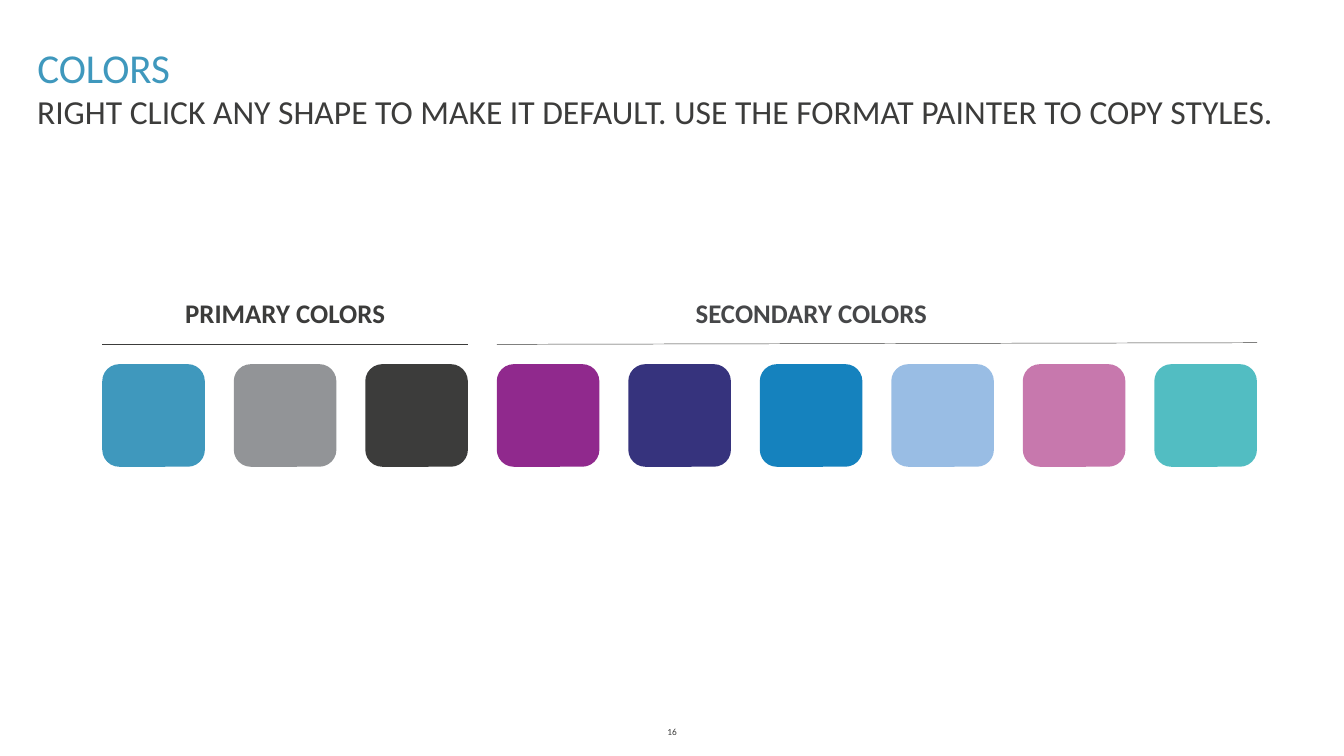
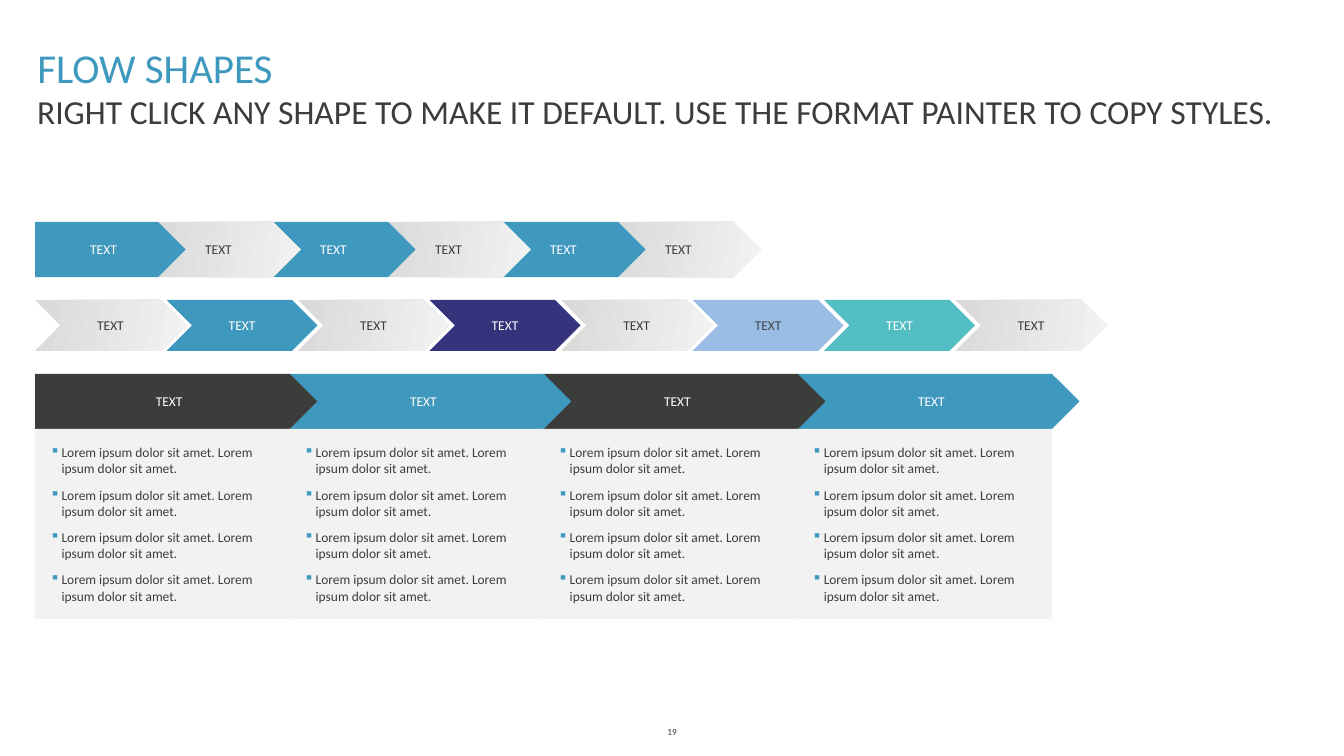
from lxml.etree import SubElement
from pptx import Presentation
from pptx.enum.shapes import MSO_CONNECTOR, MSO_SHAPE
from pptx.enum.text import MSO_ANCHOR, MSO_AUTO_SIZE, PP_ALIGN
from pptx.dml.color import RGBColor
from pptx.oxml.ns import qn
from pptx.util import Pt

BLUE, CHARCOAL, SLATE, WHITE = "3F98BD", "3C3C3B", "464749", "FFFFFF"
NAVY, SKY, TEAL, PANEL = "36337D", "99BDE4", "52BDC2", "F2F2F2"
SILVER = ("D9D9D9", "F2F2F2")
SUBTITLE = "RIGHT CLICK ANY SHAPE TO MAKE IT DEFAULT. USE THE FORMAT PAINTER TO COPY STYLES."


def paint(fill, *colours):
    """Fill solid with one colour, or with a gradient from two."""
    if len(colours) == 1:
        fill.solid()
        fill.fore_color.rgb = RGBColor.from_string(colours[0])
        return
    fill.gradient()
    fill.gradient_angle = 350
    for stop, colour in zip(fill.gradient_stops, colours):
        stop.color.rgb = RGBColor.from_string(colour)


def write(shape, *lines, size, colour=CHARCOAL, bold=False, align=PP_ALIGN.LEFT,
          anchor=MSO_ANCHOR.TOP, side=7.2, bullet=None, after=0):
    frame = shape.text_frame
    frame.word_wrap = True
    frame.auto_size = MSO_AUTO_SIZE.NONE
    frame.vertical_anchor = anchor
    frame.margin_left = frame.margin_right = Pt(side)
    frame.margin_top = frame.margin_bottom = Pt(3.6)
    frame.text = "\n".join(lines)
    for paragraph in frame.paragraphs:
        if bullet:
            properties = paragraph._p.get_or_add_pPr()
            properties.set("marL", str(Pt(6.2)))
            properties.set("indent", str(-Pt(6.2)))
            bullet_colour = SubElement(properties, qn("a:buClr"))
            SubElement(bullet_colour, qn("a:srgbClr"), val=BLUE)
            SubElement(properties, qn("a:buChar"), char=bullet)
        paragraph.alignment = align
        paragraph.space_after = Pt(after)
        font = paragraph.font
        font.name, font.size, font.bold = "Calibri", Pt(size), bold
        paint(font.fill, colour)


deck = Presentation()
deck.slide_width, deck.slide_height = Pt(720), Pt(405)

# Title, subtitle and page number
pages = []
for heading, number in (("COLORS", "16"), ("FLOW SHAPES", "19")):
    page = deck.slides.add_slide(deck.slide_layouts[5])
    title = page.shapes.title
    title.left, title.top, title.width, title.height = Pt(12.8), Pt(18.7), Pt(689), Pt(33.8)
    write(title, heading, size=22, colour=BLUE, anchor=MSO_ANCHOR.BOTTOM)
    subtitle = page.shapes.add_textbox(Pt(12.8), Pt(45.4), Pt(689), Pt(51))
    write(subtitle, SUBTITLE, size=18)
    footer = page.shapes.add_textbox(Pt(326.2), Pt(385.2), Pt(67.6), Pt(13.7))
    write(footer, number, size=5, align=PP_ALIGN.CENTER, anchor=MSO_ANCHOR.MIDDLE)
    pages.append(page)
palette, flows = (page.shapes for page in pages)

# Colour swatches, with a heading and a rule over each group
swatch_left, swatch_pitch, swatch_size = 54.8, 70.45, 55
swatches = (BLUE, "929497", CHARCOAL, "90298D", NAVY, "1582BE", SKY, "C778AD", TEAL)
for column, colour in enumerate(swatches):
    swatch = palette.add_shape(MSO_SHAPE.ROUNDED_RECTANGLE,
                               Pt(swatch_left + column * swatch_pitch), Pt(195.1),
                               Pt(swatch_size), Pt(swatch_size))
    swatch.shadow.inherit = False
    paint(swatch.fill, colour)
    swatch.line.fill.background()

groups = (
    ("PRIMARY COLORS", CHARCOAL, 0, 2, 195.9, 184.5),
    ("SECONDARY COLORS", SLATE, 3, 8, 337, 183.6),
)
for name, colour, first, last, label_width, rule_end in groups:
    left = swatch_left + first * swatch_pitch
    right = swatch_left + last * swatch_pitch + swatch_size
    label = palette.add_textbox(Pt(left), Pt(155.6), Pt(label_width), Pt(24.5))
    write(label, name, size=14.4, colour=colour, bold=True, align=PP_ALIGN.CENTER)
    rule = palette.add_connector(MSO_CONNECTOR.STRAIGHT, Pt(left), Pt(184.5),
                                 Pt(right), Pt(rule_end))
    SubElement(rule._element.spPr, qn("a:effectLst"))
    paint(rule.line.fill, CHARCOAL)
    rule.line.width = Pt(0.25)

# Three rows of arrows, drawn from the right so each tip covers the next arrow
flow_left, step_pitch = 18.8, 136.1
blue, silver, charcoal = ((BLUE,), WHITE), (SILVER, CHARCOAL), ((CHARCOAL,), WHITE)
rows = (
    (MSO_SHAPE.PENTAGON, 118.9, 61.6, 80.7, 29.5, (blue, silver) * 3),
    (MSO_SHAPE.CHEVRON, 160.7, 70.45, 80.9, 27.3,
     (silver, blue, silver, ((NAVY,), WHITE), silver, ((SKY,), SLATE),
      ((TEAL,), WHITE), silver)),
    (MSO_SHAPE.PENTAGON, 200.3, step_pitch, 151.2, 29.5, (charcoal, blue) * 2),
)
for outline, top, pitch, width, height, styles in rows:
    for column, (fills, ink) in reversed(list(enumerate(styles))):
        arrow = flows.add_shape(outline, Pt(flow_left + column * pitch), Pt(top),
                                Pt(width), Pt(height))
        arrow.shadow.inherit = False
        paint(arrow.fill, *fills)
        arrow.line.fill.background()
        write(arrow, "TEXT", size=7.2, colour=ink, align=PP_ALIGN.CENTER,
              anchor=MSO_ANCHOR.MIDDLE, side=0)

# Details under each step of the last row
details = ["Lorem ipsum dolor sit amet. Lorem ipsum dolor sit amet."] * 4
for column in range(4):
    panel = flows.add_shape(MSO_SHAPE.RECTANGLE, Pt(flow_left + column * step_pitch),
                            Pt(229.8), Pt(136.5), Pt(102))
    panel.shadow.inherit = False
    paint(panel.fill, PANEL)
    panel.line.fill.background()
    write(panel, *details, size=7.2, anchor=MSO_ANCHOR.MIDDLE, side=8,
          bullet="▪", after=5.4)

deck.save("out.pptx")
